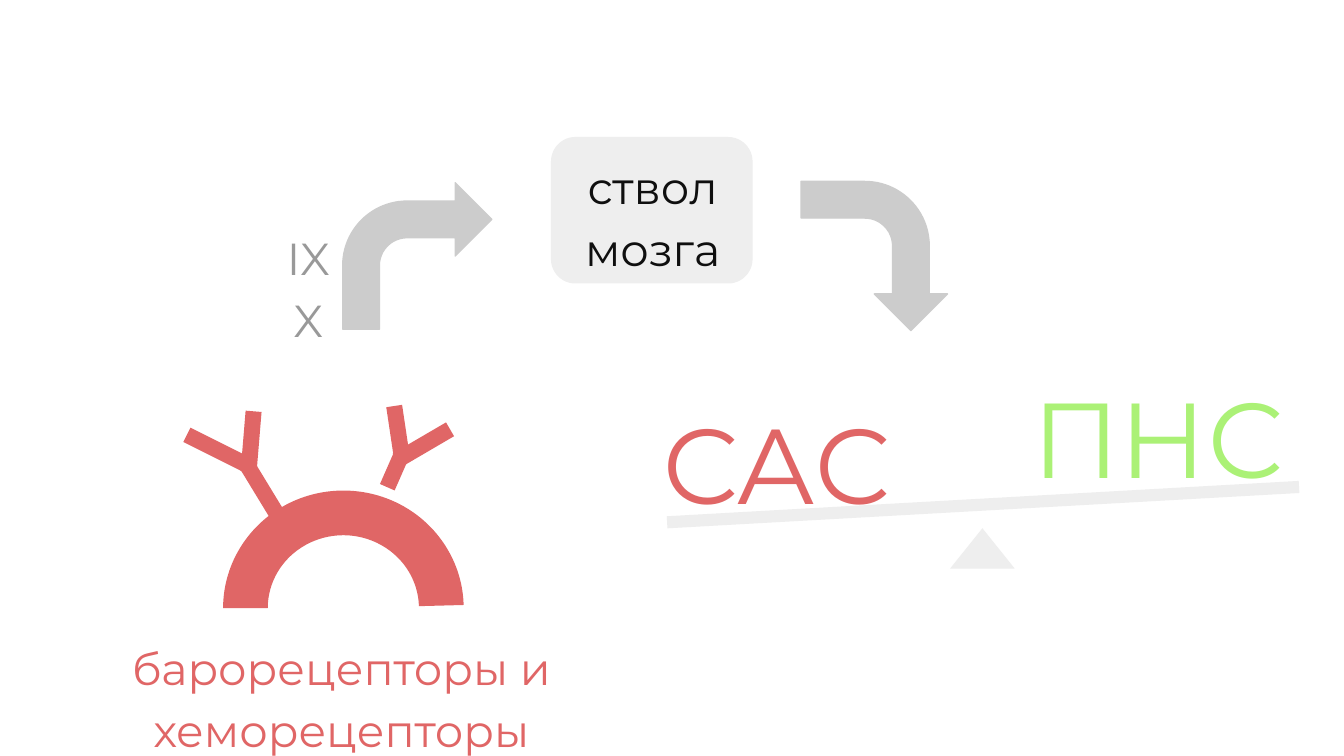
from pptx import Presentation
from pptx.dml.color import RGBColor
from pptx.enum.shapes import MSO_SHAPE as Preset
from pptx.enum.text import MSO_ANCHOR as Anchor, MSO_AUTO_SIZE as AutoSize, PP_ALIGN as Align
from pptx.util import Pt

RED = RGBColor(0xE0, 0x66, 0x66)
GREEN = RGBColor(0xAB, 0xF1, 0x76)
PALE_GRAY = RGBColor(0xEE, 0xEE, 0xEE)
ARROW_GRAY = RGBColor(0xCC, 0xCC, 0xCC)
NERVE_GRAY = RGBColor(0x99, 0x99, 0x99)
INK = RGBColor(0x0F, 0x0F, 0x0F)

ARM_WIDTH = 8.6
# left, top, length, rotation
RECEPTOR_ARMS = [
    (136.8, 241.2, 44.6, 328.7),
    (111.6, 223.2, 35.3, 296.6),
    (130.3, 220.3, 31.7, 4.7),
    (208.1, 237.6, 24.5, 23.7),
    (208.8, 217.4, 25.9, 351.5),
    (222.5, 221.8, 33.1, 59.7),
]


class SlideBuilder:
    font_name = "Montserrat"
    line_spacing = 1.15
    inset = Pt(7.2)
    label_size = 24
    scale_size = 57

    def __init__(self, slide):
        self.slide = slide

    def shape(self, preset, box, color, rotation=0, adjustments=(), outline=False, parent=None):
        shapes = (parent or self.slide).shapes
        shape = shapes.add_shape(preset, *map(Pt, box))
        shape.shadow.inherit = False
        shape.rotation = rotation
        for index, value in enumerate(adjustments):
            shape.adjustments[index] = value
        shape.fill.solid()
        shape.fill.fore_color.rgb = color
        if outline:
            shape.line.color.rgb = color
            shape.line.width = Pt(0.75)
        else:
            shape.line.fill.background()
        return shape

    def bent_arrow(self, left, rotation=0):
        return self.shape(Preset.BENT_ARROW, (left, 97.9, 79.9, 78.5), ARROW_GRAY,
                          rotation, (0.25, 0.25, 0.25, 0.44), outline=True)

    def text(self, text, box, color, size, align, anchor, auto_size):
        text_box = self.slide.shapes.add_textbox(*map(Pt, box))
        frame = text_box.text_frame
        frame.word_wrap = True
        frame.auto_size = auto_size
        frame.vertical_anchor = anchor
        frame.margin_left = frame.margin_right = self.inset
        frame.margin_top = frame.margin_bottom = self.inset
        frame.text = text
        for paragraph in frame.paragraphs:
            paragraph.alignment = align
            paragraph.line_spacing = self.line_spacing
            for run in paragraph.runs:
                run.font.name = self.font_name
                run.font.size = Pt(size)
                run.font.color.rgb = color
        return text_box

    def label(self, text, box, color):
        return self.text(text, box, color, self.label_size, Align.CENTER,
                         Anchor.TOP, AutoSize.SHAPE_TO_FIT_TEXT)

    def scale_side(self, text, box, color):
        return self.text(text, box, color, self.scale_size, Align.LEFT,
                         Anchor.MIDDLE, AutoSize.NONE)

    def receptors(self):
        """Vessel arch with Y-shaped receptors, in one group."""
        group = self.slide.shapes.add_group_shape()
        self.shape(Preset.BLOCK_ARC, (119.5, 262.8, 128.9, 126), RED,
                   adjustments=(108, 215.11, 0.19), parent=group)
        for left, top, length, rotation in RECEPTOR_ARMS:
            self.shape(Preset.RECTANGLE, (left, top, ARM_WIDTH, length), RED,
                       rotation, parent=group)


def main():
    presentation = Presentation()
    presentation.slide_width = Pt(720)
    presentation.slide_height = Pt(405)
    blank_layout = presentation.slide_layouts[6]
    builder = SlideBuilder(presentation.slides.add_slide(blank_layout))

    builder.receptors()
    builder.bent_arrow(183.6)
    builder.shape(Preset.ROUNDED_RECTANGLE, (295.2, 73.4, 108, 78.5), PALE_GRAY)
    builder.label("ствол\nмозга", (254.2, 74.2, 190.8, 77), INK)
    builder.bent_arrow(428.4, rotation=90)
    builder.label("IX\nX", (69.8, 112.3, 190.8, 77), NERVE_GRAY)
    builder.label("барорецепторы и хеморецепторы", (-7.9, 331.9, 381.6, 77), RED)

    builder.scale_side("САС", (347.8, 165.6, 180, 153.4), RED)
    builder.scale_side("ПНС", (545.8, 182.9, 154.1, 91.4), GREEN)
    builder.shape(Preset.RECTANGLE, (357.1, 267.1, 339.1, 6.5), PALE_GRAY, rotation=356.8)
    builder.shape(Preset.ISOSCELES_TRIANGLE, (509, 283, 34.6, 21.6), PALE_GRAY)

    presentation.save("out.pptx")


if __name__ == "__main__":
    main()
